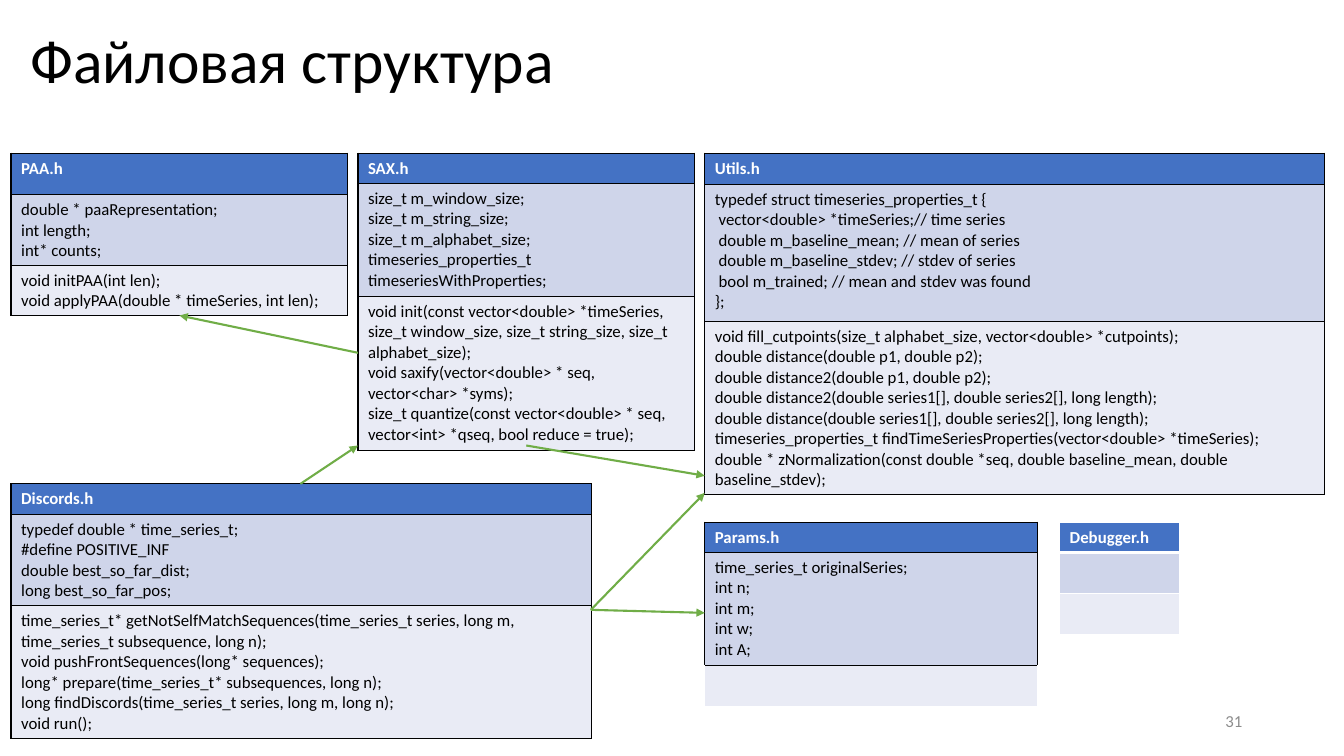
from lxml import etree
from pptx import Presentation
from pptx.dml.color import RGBColor
from pptx.enum.shapes import MSO_CONNECTOR
from pptx.enum.text import MSO_ANCHOR, PP_ALIGN
from pptx.oxml.ns import qn
from pptx.util import Inches, Pt

STRAIGHT = MSO_CONNECTOR.STRAIGHT
MIDDLE = MSO_ANCHOR.MIDDLE
LEFT, RIGHT = PP_ALIGN.LEFT, PP_ALIGN.RIGHT
TITLE_ONLY = 5

FONT = "Calibri"
BLACK, WHITE, GREY, GREEN = "000000", "FFFFFF", "8C8C8C", "70AD47"
ROW_FILLS = ["4472C4", "CFD5EA", "E9EBF5"]

# Grid in inches: three equal columns; rows for the tops of the tables
COLUMN_WIDTH, COLUMN_GAP = 3.34, 0.1
COL_1, COL_2, COL_3 = [0.11 + i * (COLUMN_WIDTH + COLUMN_GAP) for i in range(3)]
DEBUGGER_LEFT = 10.51
TOP_ROW, DISCORDS_ROW, PARAMS_ROW = 1.52, 4.8, 5.18
PAA_BOTTOM, SAX_BOTTOM, UTILS_BOTTOM = 3.13, 4.42, 4.89
DISCORDS_WIDTH = 5.76
DISCORDS_EXIT = (5.86, 6.05)

# File name, left, top, width, row heights, data, functions
HEADERS = [
    ("PAA.h", COL_1, TOP_ROW, COLUMN_WIDTH, (0.41, 0.7, 0.5),
     ["double * paaRepresentation;", "int length;", "int* counts;"],
     ["void initPAA(int len);",
      "void applyPAA(double * timeSeries, int len);"]),
    ("SAX.h", COL_2, TOP_ROW, COLUMN_WIDTH, (0.3, 1.12, 1.53),
     ["size_t m_window_size;", "size_t m_string_size;",
      "size_t m_alphabet_size;",
      "timeseries_properties_t timeseriesWithProperties;"],
     ["void init(const vector<double> *timeSeries, size_t window_size, "
      "size_t string_size, size_t alphabet_size);",
      "void saxify(vector<double> * seq, vector<char> *syms);",
      "size_t quantize(const vector<double> * seq, vector<int> *qseq, "
      "bool reduce = true);"]),
    ("Discords.h", COL_1, DISCORDS_ROW, DISCORDS_WIDTH, (0.3, 0.91, 1.32),
     ["typedef double * time_series_t;", "#define POSITIVE_INF",
      "double best_so_far_dist;", "long best_so_far_pos;"],
     ["time_series_t* getNotSelfMatchSequences(time_series_t series, long m, "
      "time_series_t subsequence, long n);",
      "void pushFrontSequences(long* sequences);",
      "long* prepare(time_series_t* subsequences, long n);",
      "long findDiscords(time_series_t series, long m, long n);",
      "void run();"]),
    ("Utils.h", COL_3, TOP_ROW, 6.15, (0.31, 1.36, 1.72),
     ["typedef struct timeseries_properties_t {",
      " vector<double> *timeSeries;// time series",
      " double m_baseline_mean; // mean of series",
      " double m_baseline_stdev; // stdev of series",
      " bool m_trained; // mean and stdev was found", "};"],
     ["void fill_cutpoints(size_t alphabet_size, vector<double> *cutpoints);",
      "double distance(double p1, double p2);",
      "double distance2(double p1, double p2);",
      "double distance2(double series1[], double series2[], long length);",
      "double distance(double series1[], double series2[], long length);",
      "timeseries_properties_t findTimeSeriesProperties(vector<double> "
      "*timeSeries);",
      "double * zNormalization(const double *seq, double baseline_mean, "
      "double baseline_stdev);"]),
    ("Params.h", COL_3, PARAMS_ROW, 3.3, (0.3, 1.12, 0.41),
     ["time_series_t originalSeries;", "int n;", "int m;", "int w;", "int A;"],
     []),
    ("Debugger.h", DEBUGGER_LEFT, PARAMS_ROW, 1.19, (0.3, 0.41, 0.41), [], []),
]

ARROWS = [
    (DISCORDS_EXIT, (COL_3, 6.08)),
    ((2.98, DISCORDS_ROW), (COL_2, SAX_BOTTOM)),
    ((COL_2, 3.5), (1.78, PAA_BOTTOM)),
    (DISCORDS_EXIT, (COL_3, UTILS_BOTTOM)),
    ((5.22, SAX_BOTTOM), (COL_3, 4.72)),
]


def color(hex_text):
    return RGBColor.from_string(hex_text)


def format_text(frame, size, hex_text, bold=False, align=LEFT):
    for para in frame.paragraphs:
        para.alignment = align
        para.font.size = Pt(size)
        for span in para.runs:
            span.font.name = FONT
            span.font.size = Pt(size)
            span.font.bold = bold
            span.font.color.rgb = color(hex_text)


def place(box, left, top, width, height):
    box.left, box.top = Inches(left), Inches(top)
    box.width, box.height = Inches(width), Inches(height)


def set_borders(cell, sides):
    """Sides maps L, R, T and B, in this order, to (colour, points)."""
    properties = cell._tc.get_or_add_tcPr()
    for side, (hex_text, points) in sides.items():
        line = etree.SubElement(properties, qn(f"a:ln{side}"), w=str(Pt(points)))
        fill = etree.SubElement(line, qn("a:solidFill"))
        etree.SubElement(fill, qn("a:srgbClr"), val=hex_text)


def add_header_table(page, name, left, top, width, heights, data, functions):
    frame = page.shapes.add_table(3, 1, Inches(left), Inches(top),
                                  Inches(width), Inches(sum(heights)))
    table = frame.table
    sections = [[name], data, functions]
    previous_line = (BLACK if data else WHITE, 1)
    for index, (height, lines) in enumerate(zip(heights, sections)):
        table.rows[index].height = Inches(height)
        cell = table.cell(index, 0)
        is_heading = index == 0
        cell.text_frame.text = "\n".join(lines)
        format_text(cell.text_frame, 12, WHITE if is_heading else BLACK, is_heading)

        # Filled sections are outlined in black, empty ones in white
        outline = (BLACK if lines and data else WHITE, 1)
        bottom = (WHITE, 3) if is_heading and not data else outline
        set_borders(cell, {"L": outline, "R": outline,
                           "T": previous_line, "B": bottom})
        previous_line = bottom
        cell.fill.solid()
        cell.fill.fore_color.rgb = color(ROW_FILLS[index])


def add_arrow(page, start, end):
    arrow = page.shapes.add_connector(
        STRAIGHT, *[Inches(value) for value in start + end])
    arrow.line.color.rgb = color(GREEN)
    arrow.line.width = Pt(1.5)
    etree.SubElement(arrow.line._get_or_add_ln(), qn("a:tailEnd"), type="triangle")
    etree.SubElement(arrow._element.spPr, qn("a:effectLst"))


def add_title(page, text):
    title = page.shapes.title
    place(title, 0.2, -0.09, 11.5, 1.45)
    title.text_frame.text = text
    title.text_frame.vertical_anchor = MIDDLE
    title.text_frame.paragraphs[0].line_spacing = 0.9
    format_text(title.text_frame, 44, BLACK)


def add_page_number(page, text):
    box = page.shapes.add_textbox(0, 0, 0, 0)
    place(box, 9.42, 6.95, 3, 0.4)
    box.text_frame.word_wrap = True
    box.text_frame.vertical_anchor = MIDDLE
    box.text_frame.text = text
    format_text(box.text_frame, 12, GREY, align=RIGHT)


def main():
    deck = Presentation()
    deck.slide_width, deck.slide_height = Inches(13.33), Inches(7.5)
    page = deck.slides.add_slide(deck.slide_layouts[TITLE_ONLY])

    add_title(page, "Файловая структура")
    add_page_number(page, "31")
    for header in HEADERS:
        add_header_table(page, *header)
    for start, end in ARROWS:
        add_arrow(page, start, end)

    deck.save("out.pptx")


if __name__ == "__main__":
    main()
